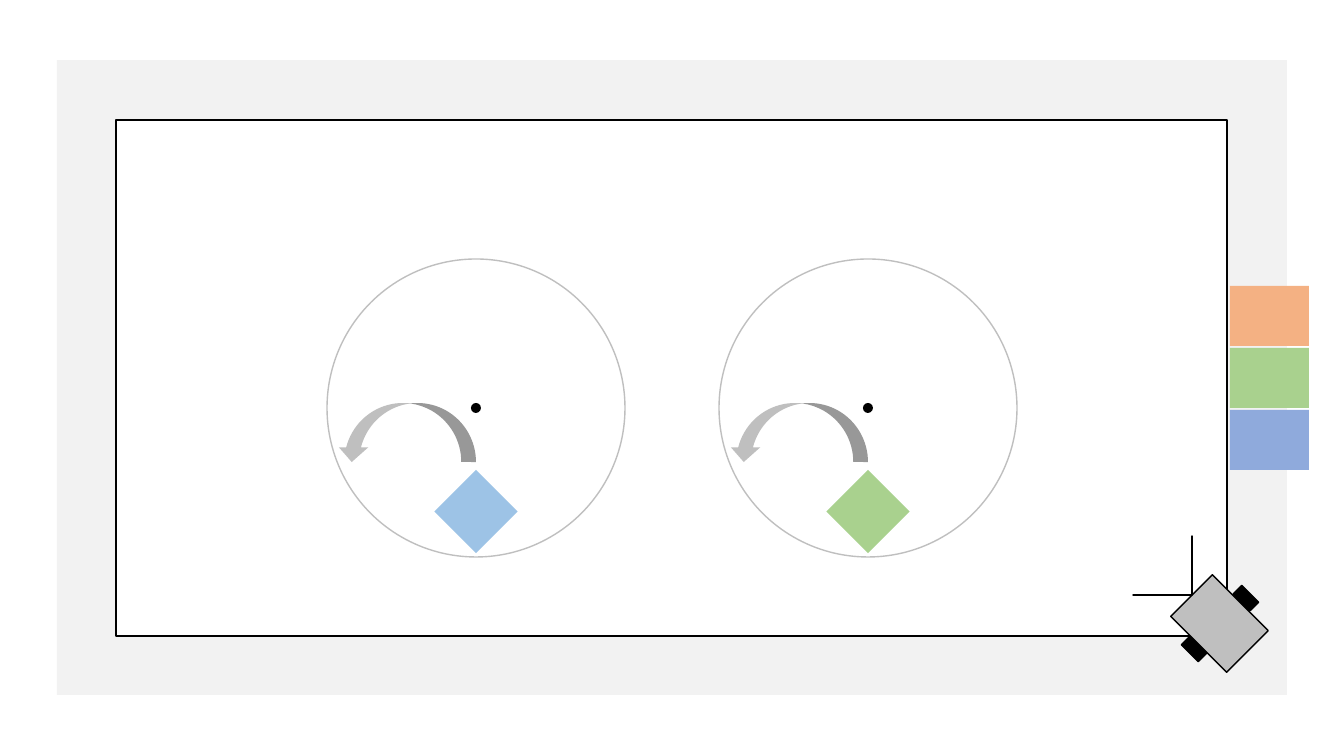
from pptx import Presentation
from pptx.dml.color import RGBColor
from pptx.enum.shapes import MSO_SHAPE as SHAPE
from pptx.util import Emu, Pt

EMU_PER_PIXEL = 914400 / 100.8
BLACK, WHITE, GREY = "000000", "FFFFFF", "BFBFBF"
GREEN = "A9D18E"


def px(pixels):
    """Turn pixels into EMU."""
    return Emu(round(pixels * EMU_PER_PIXEL))


def color(hex_code):
    """Turn a hex string into a colour."""
    return RGBColor.from_string(hex_code)


def add_part(slide, kind, box, fill=None, line=None, **attributes):
    """Add a preset shape in a pixel box and set its further attributes."""
    part = slide.shapes.add_shape(kind, *map(px, box))
    part.shadow.inherit = False
    if fill:
        part.fill.solid()
        part.fill.fore_color.rgb = color(fill)
    else:
        part.fill.background()
    if line:
        part.line.color.rgb = color(line)
        part.line.width = Pt(1)
    else:
        part.line.fill.background()
    for name, value in attributes.items():
        setattr(part, name, value)
    return part


def draw_arena(slide, left, top, width, height, border=59):
    """Draw the grey surround and the white field inside it."""
    add_part(slide, SHAPE.RECTANGLE, (left, top, width, height), "F2F2F2")
    field = (left + border, top + border + 1, width - 2 * border - 1, height - 2 * border - 1)
    add_part(slide, SHAPE.RECTANGLE, field, WHITE, BLACK)


def draw_bins(slide, left, top, width, height, fills, gap=2):
    """Stack the coloured bins in equal rows inside the box."""
    bin_height = (height - gap * (len(fills) - 1)) / len(fills)
    for row, fill in enumerate(fills):
        bin_top = top + row * (bin_height + gap)
        add_part(slide, SHAPE.RECTANGLE, (left, bin_top, width, bin_height), fill)


def draw_turning_zone(slide, left, top, size, block_fill):
    """Draw a circular zone with its block, centre dot and turn arrow."""
    center, block, dot = size / 2, 59, 10
    add_part(slide, SHAPE.RECTANGLE,
             (left + center - block / 2, top + 223, block, block), block_fill, rotation=45)
    add_part(slide, SHAPE.OVAL, (left, top, size, size), line=GREY)
    add_part(slide, SHAPE.OVAL,
             (left + center - dot / 2, top + center - dot / 2, dot, dot), BLACK)
    arrow = add_part(slide, SHAPE.CURVED_DOWN_ARROW, (left + 10, top + 144, 139, 59), GREY)
    arrow._element.spPr.xfrm.set("flipH", "1")


def draw_robot(slide, left, top):
    """Draw the tilted robot with its gripper corner and two wheels."""
    add_part(slide, SHAPE.RECTANGLE, (left + 57, top + 48, 59, 79), GREY, BLACK, rotation=315)
    gripper = add_part(slide, SHAPE.CORNER, (left, top, 59, 59), "4472C4", BLACK, rotation=270)
    for index in range(2):
        gripper.adjustments[index] = 0
    for wheel_left, wheel_top in ((55, 101), (107, 50)):
        add_part(slide, SHAPE.RECTANGLE, (left + wheel_left, top + wheel_top, 12, 24),
                 BLACK, BLACK, rotation=315)


def main():
    """Build the slide and save it."""
    deck = Presentation()
    deck.slide_width, deck.slide_height = px(1344), px(756)
    slide = deck.slides.add_slide(deck.slide_layouts[6])
    draw_arena(slide, 57, 60, 1230, 635)
    draw_bins(slide, 1230, 286, 79, 184, ("F4B183", GREEN, "8FAADC"))
    for zone_left, block_fill in ((327, "9DC3E6"), (719, GREEN)):
        draw_turning_zone(slide, zone_left, 259, 298, block_fill)
    draw_robot(slide, 1133, 536)
    deck.save("out.pptx")


main()
